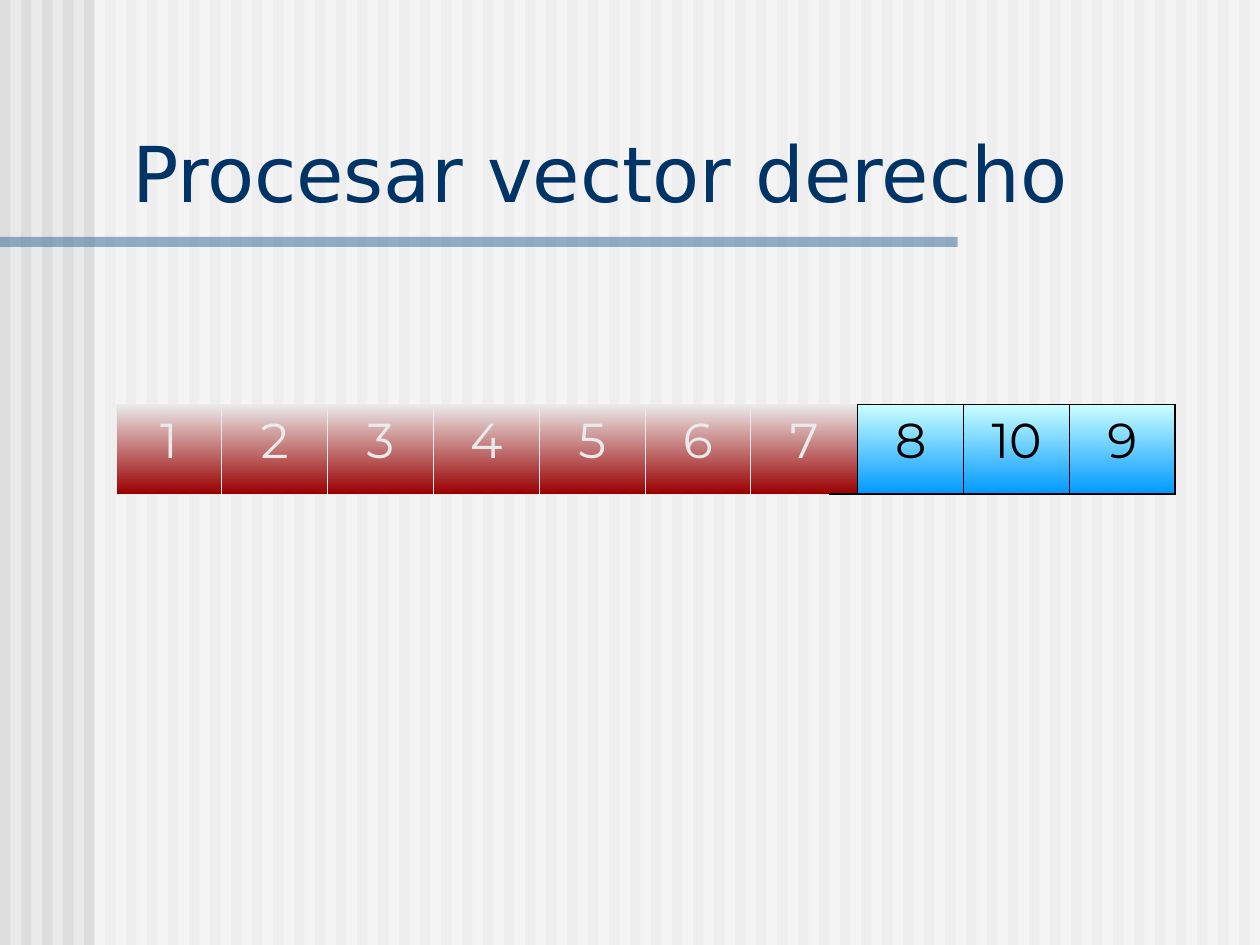
"""Build the slide that shows the right half of a vector being sorted."""
from lxml import etree
from pptx import Presentation
from pptx.dml.color import RGBColor
from pptx.enum.shapes import MSO_SHAPE
from pptx.enum.text import MSO_ANCHOR, PP_ALIGN
from pptx.oxml.ns import qn
from pptx.util import Inches, Pt

RECT = MSO_SHAPE.RECTANGLE
BOTTOM = MSO_ANCHOR.BOTTOM
CENTER = PP_ALIGN.CENTER

COLORS = {"paper": "EAEAEA", "stripe": "DDDDDD", "veil": "FFFFFF", "bar": "336699",
          "title": "003366", "red": "9A0000", "sky": "CCFFFF", "blue": "0099FF",
          "black": "000000"}
TITLE = "Procesar vector derecho"
SORTED = {0: "1", 1: "2", 2: "3", 3: "4", 4: "5", 5: "6", 6: "7"}
RIGHT = {8: "8", 9: "10", 11: "9"}
WIDTHS = [0.84] * 6 + [0.62, 0.23, 0.84, 0.35, 0.49, 0.84]
MERGES = [(0, 6, 7), (0, 9, 10), (1, 6, 7), (1, 9, 10), (2, 7, 9)]
ROWS, HIGH = 3, 0.71
THIN, THICK = 0.45, 1.08
STRIPES, STEP = 60, 1 / 6
NO_STYLE = "{2D5ABB26-0587-4C30-8999-92F81FD0307C}"


def rgb(name):
    return RGBColor.from_string(COLORS[name])


def block(slide, box, color, alpha=None):
    shape = slide.shapes.add_shape(RECT, *map(Inches, box))
    shape.shadow.inherit = False
    shape.fill.solid()
    shape.fill.fore_color.rgb = rgb(color)
    shape.line.fill.background()
    if alpha:
        tone = shape.fill._xPr.find(".//" + qn("a:srgbClr"))
        etree.SubElement(tone, qn("a:alpha"), val=str(alpha * 1000))


def edge(cell, sides):
    props = cell._tc.get_or_add_tcPr()
    for spot, side in enumerate(s for s in "LRTB" if s in sides):
        color, width = sides[side]
        line = etree.Element(qn("a:ln" + side), w=str(Pt(width)))
        fill = etree.SubElement(line, qn("a:solidFill"))
        etree.SubElement(fill, qn("a:srgbClr"), val=COLORS[color])
        props.insert(spot, line)


def write(frame, text, font, size, color, align=None):
    frame.text = text
    para = frame.paragraphs[0]
    para.alignment = align
    run = para.runs[0].font
    run.name, run.size = font, Pt(size)
    run.color.rgb = rgb(color)


def value(cell, text, tones, ink, sides):
    write(cell.text_frame, text, "Montserrat", 28, ink, CENTER)
    cell.fill.gradient()
    cell.fill.gradient_angle = 270
    for stop, tone, place in zip(cell.fill.gradient_stops, tones, (0, 1)):
        stop.color.rgb = rgb(tone)
        stop.position = place
    edge(cell, sides)


def vector(slide):
    box = map(Inches, (0.92, 2.5, sum(WIDTHS), ROWS * HIGH))
    table = slide.shapes.add_table(ROWS, len(WIDTHS), *box).table
    table._tbl.tblPr.find(qn("a:tableStyleId")).text = NO_STYLE
    table.first_row = table.horz_banding = False
    for col, width in zip(table.columns, WIDTHS):
        col.width = Inches(width)
    for row in table.rows:
        row.height = Inches(HIGH)
        for cell in row.cells:
            cell.fill.background()
    for row, start, end in MERGES:
        table.cell(row, start).merge(table.cell(row, end))

    pale, dark, bold = ("paper", THIN), ("black", THIN), ("black", THICK)
    for col in range(len(WIDTHS)):
        edge(table.cell(0, col), {"B": pale if col < 8 else bold})
        edge(table.cell(2, col), {"T": pale if col < 7 else bold})
    for col, text in SORTED.items():
        sides = dict.fromkeys("LRTB", pale)
        if col == max(SORTED):
            sides["R"] = dark
        value(table.cell(1, col), text, ("paper", "red"), "paper", sides)
    for col, text in RIGHT.items():
        last = col == max(RIGHT)
        sides = {"L": dark, "R": bold if last else dark, "T": bold, "B": bold}
        value(table.cell(1, col), text, ("sky", "blue"), "black", sides)


def main():
    deck = Presentation()
    deck.slide_width, deck.slide_height = Inches(10), Inches(7.5)
    slide = deck.slides.add_slide(deck.slide_layouts[6])
    slide.background.fill.solid()
    slide.background.fill.fore_color.rgb = rgb("paper")
    for i in range(STRIPES):
        block(slide, (i * STEP, 0, STEP / 2, 7.5), "stripe")
    block(slide, (0.75, 0, 9.25, 7.5), "veil", 50)
    block(slide, (0, 1.88, 7.6, 0.08), "bar", 50)
    vector(slide)
    title = slide.shapes.add_textbox(*map(Inches, (0.95, 0.94, 8.93, 0.84)))
    title.text_frame.word_wrap = True
    title.text_frame.vertical_anchor = BOTTOM
    write(title.text_frame, TITLE, "DejaVu Sans", 44, "title")
    deck.save("out.pptx")


if __name__ == "__main__":
    main()
